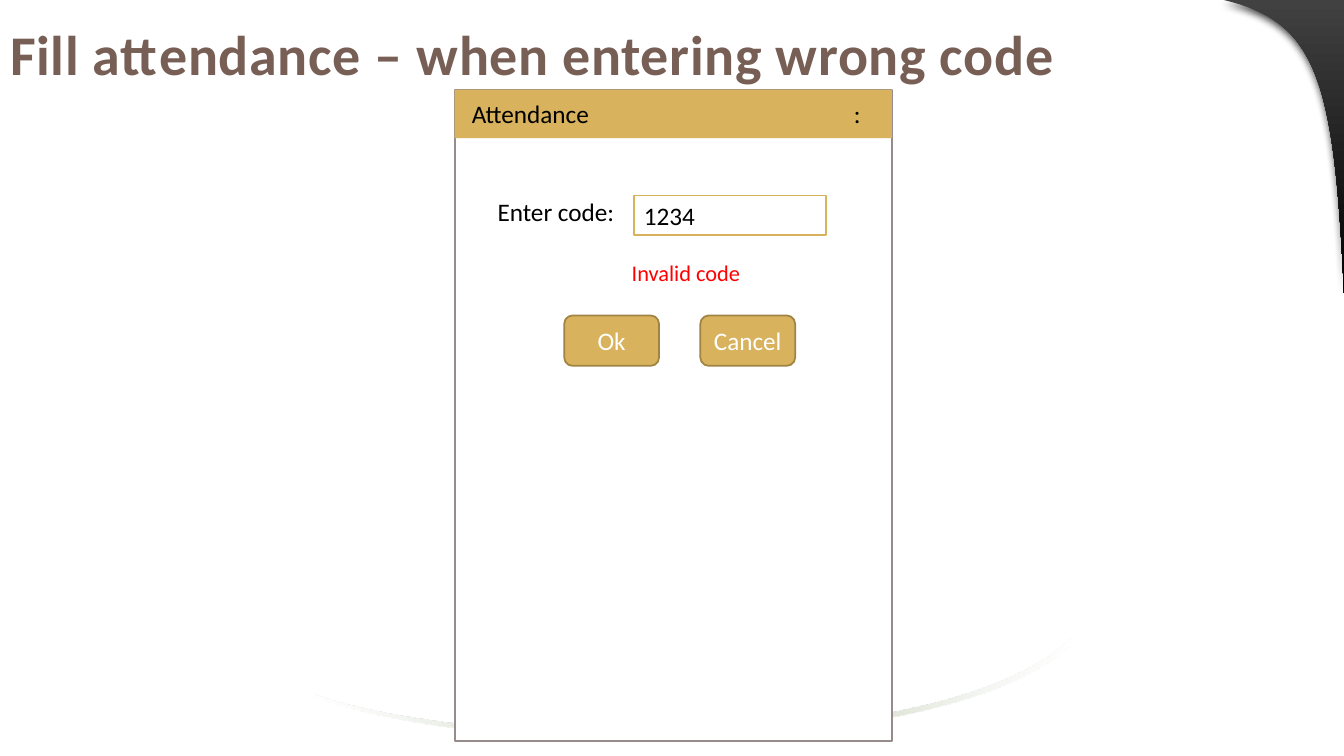
from pptx import Presentation
from pptx.dml.color import RGBColor
from pptx.enum.shapes import MSO_SHAPE as Kind
from pptx.enum.text import MSO_ANCHOR as Anchor, PP_ALIGN as Align
from pptx.oxml import parse_xml
from pptx.oxml.ns import nsdecls, qn
from pptx.util import Cm, Pt

GOLD, WHITE, BLACK = "D8B25C", "FFFFFF", "000000"
STEPS = 32


def hue(code):
    return RGBColor.from_string(code)


def style(para, code, size=18, bold=False, align=Align.LEFT):
    para.alignment = align
    font = para.font
    font.name, font.size, font.bold = "Calibri", Pt(size), bold
    font.color.rgb = hue(code)


def shade(blur, dist, angle, alpha):
    return parse_xml(
        f'<a:effectLst {nsdecls("a")}><a:outerShdw blurRad="{Pt(blur)}" '
        f'dist="{Pt(dist)}" dir="{angle * 60000}" algn="tl" rotWithShape="0">'
        f'<a:srgbClr val="{BLACK}"><a:alpha val="{alpha * 1000}"/></a:srgbClr>'
        '</a:outerShdw></a:effectLst>')


def curve(ends):
    for step in range(STEPS + 1):
        t = step / STEPS
        parts = ((1 - t) ** 3, 3 * t * (1 - t) ** 2, 3 * t * t * (1 - t), t ** 3)
        yield tuple(Cm(sum(p * end[axis] for p, end in zip(parts, ends)))
                    for axis in (0, 1))


def blend(shapes, points, stops, angle):
    pen = shapes.build_freeform(*points[0])
    pen.add_line_segments(points[1:], close=True)
    form = pen.convert_to_shape()
    form.shadow.inherit = False
    form.line.fill.background()
    form.fill.gradient()
    marks = "".join(
        f'<a:gs pos="{place * 1000}"><a:srgbClr val="{code}">'
        f'<a:alpha val="{alpha * 1000}"/></a:srgbClr></a:gs>'
        for place, code, alpha in stops)
    props = form._element.spPr
    props.replace(props.find(qn("a:gradFill")), parse_xml(
        f'<a:gradFill {nsdecls("a")} rotWithShape="1"><a:gsLst>{marks}</a:gsLst>'
        f'<a:lin ang="{angle * 60000}" scaled="0"/></a:gradFill>'))
    return props


def decor(shapes):
    lower = curve([(7.92, 17.53), (11.94, 19.13), (23.88, 19.13), (26.97, 16.26)])
    upper = curve([(26.97, 16.08), (23.88, 19.05), (12.07, 18.92), (7.92, 17.48)])
    blend(shapes, [*lower, *upper],
          [(0, WHITE, 30), (50, "9CB084", 100), (100, WHITE, 30)], 0)
    edge = curve([(30.84, 0), (33.15, 0.56), (33.63, 1.9), (33.87, 7.39)])
    props = blend(shapes, [*edge, (Cm(33.87), Cm(0))],
                  [(0, "414141", 100), (100, BLACK, 100)], 90)
    props.replace(props.find(qn("a:effectLst")), shade(6, 3, 90, 75))


def head(slide, text):
    title = slide.shapes.title
    title.left, title.top, title.width, title.height = Cm(0), Cm(0), Cm(28.75), Cm(2.69)
    frame = title.text_frame
    frame.text = text
    frame.vertical_anchor = Anchor.MIDDLE
    para = frame.paragraphs[0]
    style(para, "775F55", 40, True)
    props = para.runs[0]._r.get_or_add_rPr()
    props.set("spc", "50")
    props.append(shade(3, 3, 45, 45))
    slide.shapes._spTree.append(title._element)


def box(shapes, place, fill, line=None, text="", ink=BLACK,
        align=Align.LEFT, kind=Kind.RECTANGLE):
    item = shapes.add_shape(kind, *map(Cm, place))
    item.shadow.inherit = False
    item.fill.solid()
    item.fill.fore_color.rgb = hue(fill)
    if line:
        item.line.color.rgb = hue(line)
        item.line.width = Pt(1.25)
    else:
        item.line.fill.background()
    frame = item.text_frame
    frame.word_wrap = True
    frame.vertical_anchor = Anchor.MIDDLE
    if text:
        frame.text = text
        style(frame.paragraphs[0], ink, align=align)
    return frame


def phone(shapes):
    box(shapes, (11.46, 2.26, 11.02, 16.41), WHITE, "968C8C")
    bar = box(shapes, (11.46, 2.26, 11.02, 1.22), GOLD)
    bar.margin_left = Cm(0.43)
    para = bar.paragraphs[0]
    para._p.get_or_add_pPr().append(parse_xml(
        f'<a:tabLst {nsdecls("a")}><a:tab pos="{Cm(9.63)}" algn="l"/></a:tabLst>'))
    para.add_run().text = "Attendance\t:"
    style(para, BLACK)


def form(shapes):
    panel = box(shapes, (12.29, 4.06, 9.35, 5.13), WHITE, text="Enter code:")
    panel.vertical_anchor = Anchor.TOP
    panel.margin_top = Cm(0.9)
    error = panel.add_paragraph()
    error.text = "Invalid code"
    error._p.get_or_add_pPr().set("marL", str(Cm(3.38)))
    error.space_before = Pt(23)
    style(error, "FF0000", 16)
    box(shapes, (15.98, 4.93, 4.83, 0.99), WHITE, GOLD, "1234")
    for left, label in ((14.22, "Ok"), (17.65, "Cancel")):
        button = box(shapes, (left, 7.95, 2.39, 1.27), GOLD, "A08444", label,
                     WHITE, Align.CENTER, Kind.ROUNDED_RECTANGLE)
        button.margin_left = button.margin_right = Cm(0.1)


def main():
    deck = Presentation()
    deck.slide_width, deck.slide_height = Cm(33.87), Cm(19.05)
    slide = deck.slides.add_slide(deck.slide_layouts[5])
    decor(slide.shapes)
    head(slide, "Fill attendance – when entering wrong code")
    phone(slide.shapes.add_group_shape().shapes)
    form(slide.shapes.add_group_shape().shapes)
    deck.save("out.pptx")


if __name__ == "__main__":
    main()
